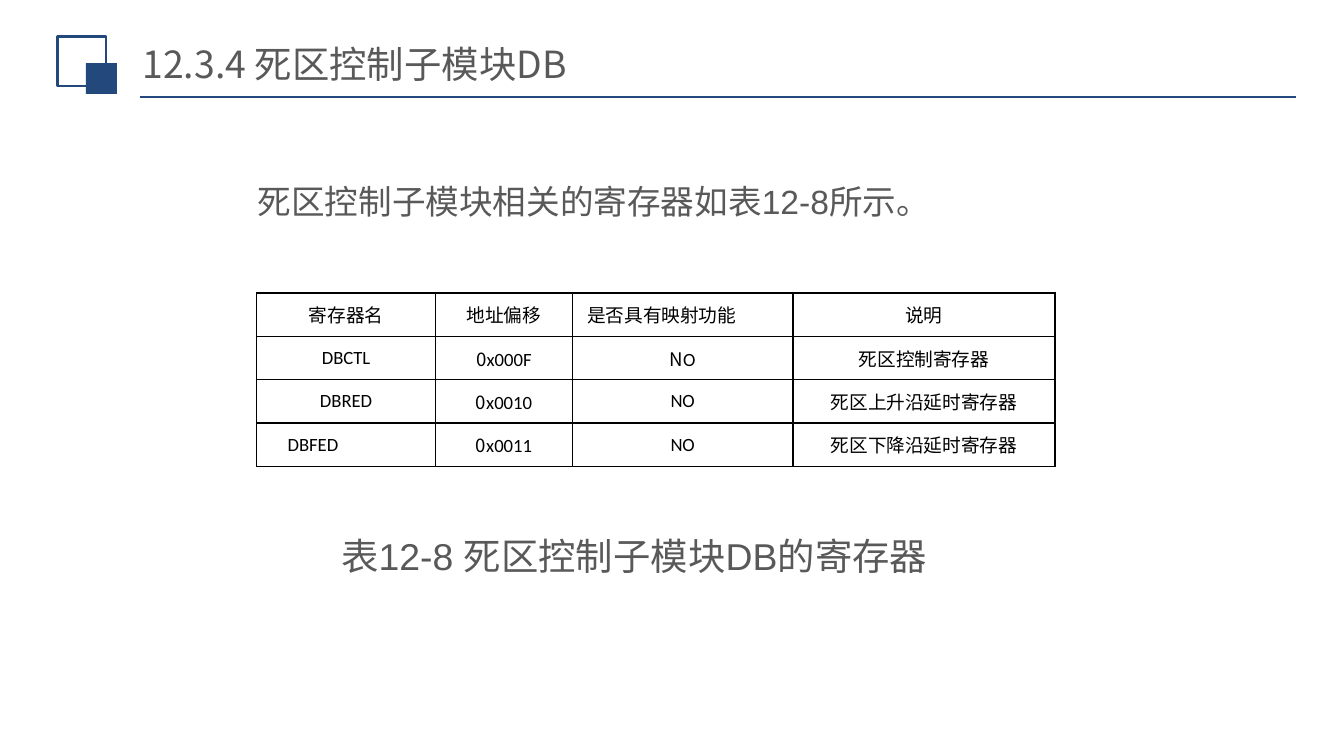
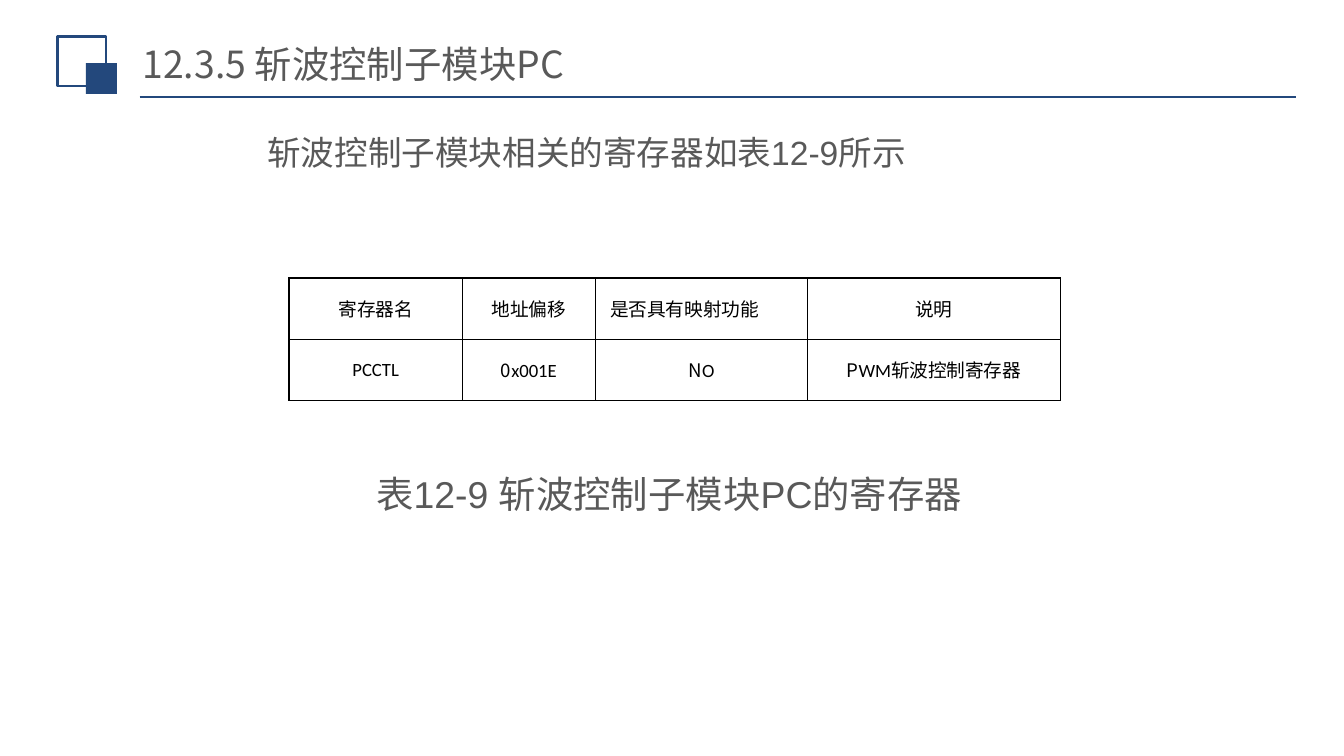
from lxml.etree import SubElement
from pptx import Presentation
from pptx.dml.color import RGBColor
from pptx.enum.shapes import MSO_CONNECTOR, MSO_SHAPE
from pptx.enum.text import MSO_ANCHOR, PP_ALIGN
from pptx.oxml.ns import qn
from pptx.util import Inches, Pt

COLORS = {"navy": "23487C", "text": "595959", "black": "000000"}
CJK, LATIN, CELL_LATIN = "Noto Sans CJK SC", "Arial", "Calibri"
HEADER = ["寄存器名", "地址偏移", "是否具有映射功能", "说明"]


def color(name):
    return RGBColor.from_string(COLORS[name])


def format_run(run, size, font, ink):
    run.font.size = Pt(size)
    run.font.name = font
    run.font.color.rgb = color(ink)
    SubElement(run.font._element, qn("a:ea")).set("typeface", CJK)


def add_text(slide, box, text, size, font=LATIN):
    frame = slide.shapes.add_textbox(*map(Inches, box)).text_frame
    frame.word_wrap = True
    frame.text = text
    format_run(frame.paragraphs[0].runs[0], size, font, "text")
    return frame


def add_justified(slide, box, text, size, indent=0):
    paragraph = add_text(slide, box, text, size).paragraphs[0]
    paragraph.alignment = PP_ALIGN.JUSTIFY
    paragraph._p.get_or_add_pPr().set("indent", str(Inches(indent)))


def add_square(slide, box, filled):
    square = slide.shapes.add_shape(MSO_SHAPE.RECTANGLE, *map(Inches, box))
    square.shadow.inherit = False
    if filled:
        square.fill.solid()
        square.fill.fore_color.rgb = color("navy")
        square.line.fill.background()
    else:
        square.fill.background()
        square.line.color.rgb = color("navy")
        square.line.width = Pt(1.5)


def add_heading(slide, title):
    # Rule and the two squares beside the title
    rule = slide.shapes.add_connector(
        MSO_CONNECTOR.STRAIGHT, Inches(1.04), Inches(0.72), Inches(9.64), Inches(0.72))
    rule.line.color.rgb = color("navy")
    rule.line.width = Pt(1.25)
    SubElement(rule._element.spPr, qn("a:effectLst"))
    add_square(slide, (0.43, 0.27, 0.36, 0.37), filled=False)
    add_square(slide, (0.64, 0.47, 0.23, 0.23), filled=True)

    # Title
    frame = add_text(slide, (0.99, 0.29, 6.45, 0.36), title, 20, CJK)
    frame.vertical_anchor = MSO_ANCHOR.MIDDLE
    frame.margin_left = frame.margin_right = Inches(0.07)
    frame.margin_top = frame.margin_bottom = Inches(0.04)


def set_borders(cell):
    properties = cell._tc.get_or_add_tcPr()
    for side in ("lnL", "lnR", "lnT", "lnB"):
        line = SubElement(properties, qn(f"a:{side}"), w=str(Pt(1)))
        fill = SubElement(line, qn("a:solidFill"))
        SubElement(fill, qn("a:srgbClr"), val=COLORS["black"])


def fill_cell(cell, text, left_margin=None):
    """Parts between bars alternate between the CJK and the Latin font."""
    set_borders(cell)
    cell.fill.background()
    cell.vertical_anchor = MSO_ANCHOR.MIDDLE
    cell.margin_left = Inches(left_margin or 0.07)
    cell.margin_right = Inches(0.07)
    cell.margin_top = cell.margin_bottom = 0
    paragraph = cell.text_frame.paragraphs[0]
    paragraph.alignment = PP_ALIGN.LEFT if left_margin else PP_ALIGN.CENTER
    for index, part in enumerate(text.split("|")):
        if part:
            run = paragraph.add_run()
            run.text = part
            format_run(run, 10, CELL_LATIN if index % 2 else CJK, "black")


def add_register_table(slide, left, top, widths, height, registers, left_margins):
    rows = [HEADER] + registers
    table = slide.shapes.add_table(
        len(rows), len(widths), Inches(left), Inches(top),
        Inches(sum(widths)), Inches(height)).table
    table.first_row = table.horz_banding = False
    for column, width in zip(table.columns, widths):
        column.width = Inches(width)
    for row_index, values in enumerate(rows):
        table.rows[row_index].height = Inches(height / len(rows))
        for column_index, value in enumerate(values):
            fill_cell(table.cell(row_index, column_index), value,
                      left_margins.get((row_index, column_index)))


def add_dead_band_slide(slide):
    add_heading(slide, "12.3.4 死区控制子模块DB")
    add_justified(slide, (1.24, 1.3, 6.2, 0.4),
                  "死区控制子模块相关的寄存器如表12-8所示。", 18, indent=0.58)
    add_justified(slide, (2.44, 3.92, 4.75, 0.44),
                  "表12-8 死区控制子模块DB的寄存器", 20)
    registers = [
        ["|DBCTL", "0|x000F", "N|O", "死区控制寄存器"],
        ["|DBRED", "0|x0010", "|NO", "死区上升沿延时寄存器"],
        ["|DBFED", "0|x0011", "|NO", "死区下降沿延时寄存器"],
    ]
    add_register_table(slide, 1.91, 2.18, (1.33, 1.02, 1.64, 1.95), 1.29,
                       registers, {(0, 2): 0.11, (3, 0): 0.23})


def add_chopper_slide(slide):
    add_heading(slide, "12.3.5 斩波控制子模块PC")
    add_justified(slide, (1.31, 0.93, 7.28, 0.4),
                  "斩波控制子模块相关的寄存器如表12-9所示", 18, indent=0.58)
    add_justified(slide, (2.7, 3.46, 4.61, 0.44),
                  "表12-9 斩波控制子模块PC的寄存器", 20)
    registers = [["|PCCTL", "0|x001E", "N|O", "P|WM|斩波控制寄存器"]]
    add_register_table(slide, 2.15, 2.07, (1.29, 0.99, 1.58, 1.88), 0.91,
                       registers, {(0, 2): 0.11})


def main():
    deck = Presentation()
    # Widescreen, 16 to 9
    deck.slide_width = Inches(10)
    deck.slide_height = Inches(10 * 9 / 16)
    blank = deck.slide_layouts[6]
    for build in (add_dead_band_slide, add_chopper_slide):
        build(deck.slides.add_slide(blank))
    deck.save("out.pptx")


if __name__ == "__main__":
    main()
